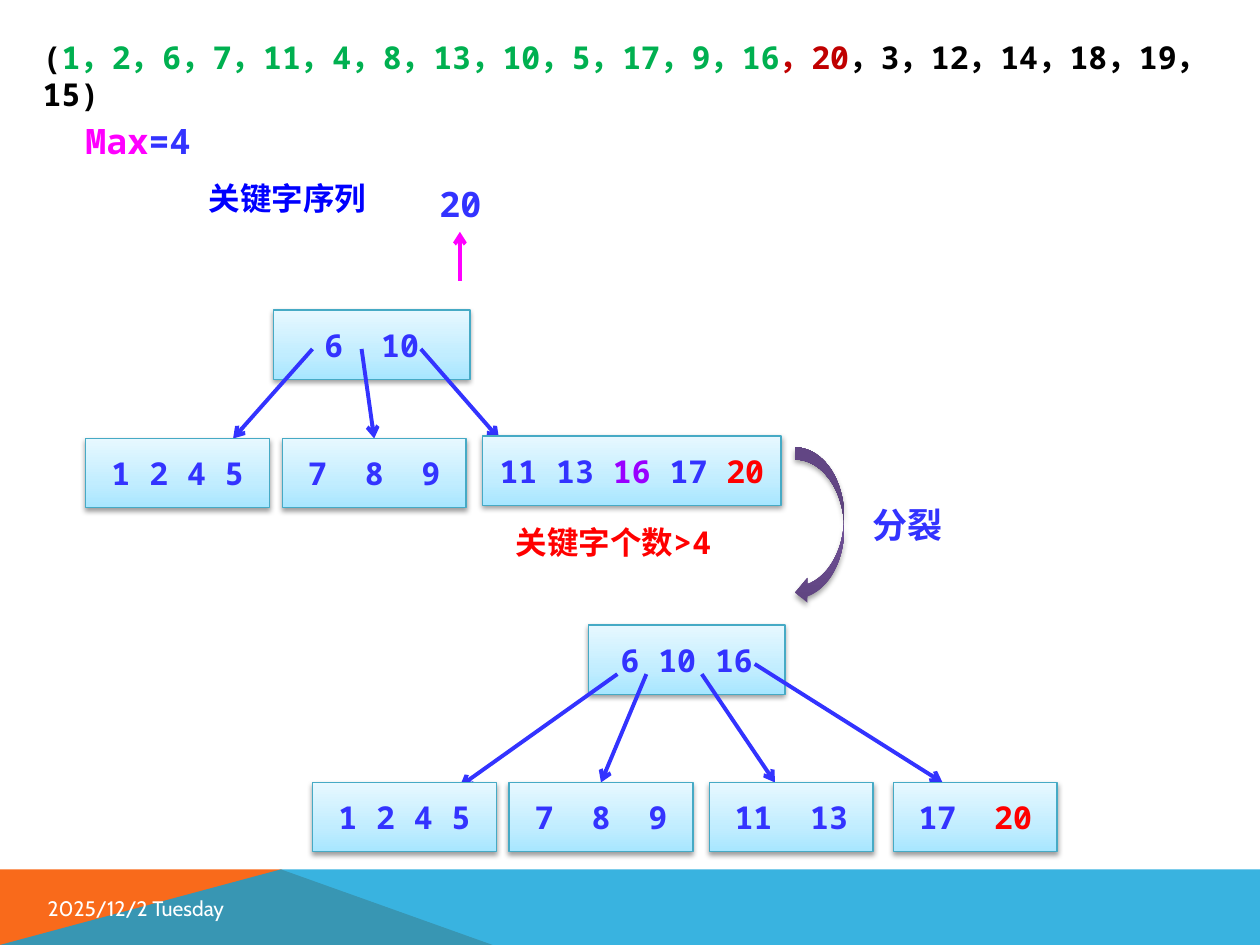
"""Build a slide on splitting a full B-tree node after inserting key 20."""
import copy
import pptx
import pptx.util
import pptx.dml.color
import pptx.enum.shapes
import pptx.enum.text
import pptx.oxml
import pptx.oxml.ns
import lxml.etree

Inches = pptx.util.Inches
Pt = pptx.util.Pt
qn = pptx.oxml.ns.qn
tint = pptx.dml.color.RGBColor.from_string
kinds = pptx.enum.shapes.MSO_SHAPE
LEFT = pptx.enum.text.PP_ALIGN.LEFT
MID = pptx.enum.text.PP_ALIGN.CENTER
BLUE, RED, PINK = "3333FF", "FF0000", "FF00FF"
MONO = "Noto Sans Mono"


def write(frame, runs, size=18, align=MID, face=MONO):
    frame.word_wrap = True
    para = frame.paragraphs[0]
    para.alignment = align
    for text, hue in runs:
        run = para.add_run()
        run.text = text
        run.font.name = face
        run.font.size = Pt(size)
        run.font.bold = face == MONO
        run.font.color.rgb = tint(hue)
        if text == " ":
            run.font.language_id = None
            run._r.get_or_add_rPr().set("spc", "1080")


def link(home, ends, hue):
    line = home.add_connector(
        pptx.enum.shapes.MSO_CONNECTOR.STRAIGHT, *[Inches(n) for n in ends])
    line.line.color.rgb = tint(hue)
    line.line.width = Pt(2.25)
    props = line.element.spPr
    tail = lxml.etree.SubElement(props.find(qn("a:ln")), qn("a:tailEnd"))
    tail.set("type", "arrow")
    lxml.etree.SubElement(props, qn("a:effectLst"))
    return line


deck = pptx.Presentation()
deck.slide_width, deck.slide_height = Inches(10), Inches(7.5)
slide = deck.slides.add_slide(deck.slide_layouts[6])
shapes = slide.shapes

bands = [
    ("F96A1B", 100, [(0, 7.5), (0, 6.9), (2.23, 6.9), (3.91, 7.5)]),
    ("08A1D9", 80, [(0, 7.5), (2.23, 6.9), (10, 6.9), (10, 7.5)]),
]
for hue, alpha, points in bands:
    spots = [(Inches(x), Inches(y)) for x, y in points]
    form = shapes.build_freeform(*spots[0], scale=1)
    form.add_line_segments(spots[1:], close=True)
    band = form.convert_to_shape()
    band.shadow.inherit = False
    band.line.fill.background()
    band.fill.solid()
    band.fill.fore_color.rgb = tint(hue)
    if alpha < 100:
        paint = band.element.spPr.find(qn("a:solidFill"))[0]
        lxml.etree.SubElement(paint, qn("a:alpha")).set("val", str(alpha * 1000))

date = shapes.add_textbox(Inches(0.28), Inches(7.06), Inches(1.68), Inches(0.29))
date.text_frame.vertical_anchor = pptx.enum.text.MSO_ANCHOR.MIDDLE
write(date.text_frame, [("2025/12/2 Tuesday", "FFFFFF")], 12, LEFT, "Cabin")

link(shapes, (3.65, 2.23, 3.65, 1.84), PINK)

few = [("1 2 4 5", BLUE)]
some = [("7", BLUE), (" ", BLUE), ("8", BLUE), (" ", BLUE), ("9", BLUE)]
trees = [
    (shapes,
     (2.17, 2.46, 1.56, [("6", BLUE), (" ", BLUE), ("10", BLUE)]),
     [(2.48, 2.77, 1.85, 3.48), (2.87, 2.77, 2.97, 3.48), (3.34, 2.77, 3.96, 3.48)],
     [(0.68, 3.48, 1.46, few), (2.24, 3.48, 1.46, some),
      (3.83, 3.46, 2.37, [("11 13 ", BLUE), ("16", "9900FF"), (" 17 ", BLUE), ("20", RED)])]),
    (shapes.add_group_shape().shapes,
     (4.67, 4.96, 1.56, [("6 10 16", BLUE)]),
     [(4.9, 5.35, 3.65, 6.24), (5.13, 5.35, 4.77, 6.24),
      (5.57, 5.35, 6.15, 6.21), (5.99, 5.27, 7.48, 6.21)],
     [(2.48, 6.21, 1.46, few), (4.04, 6.21, 1.46, some),
      (5.63, 6.21, 1.3, [("11", BLUE), (" ", BLUE), ("13", BLUE)]),
      (7.09, 6.21, 1.3, [("17", BLUE), (" ", BLUE), ("20", RED)])]),
]
pale = [(0, "A7E6FF"), (0.35, "C1EDFF"), (1, "E7F8FF")]
glows = []
for home, root, ends, leaves in trees:
    lines = []
    for x, y, wide, runs in [root] + leaves:
        box = home.add_shape(
            kinds.RECTANGLE, Inches(x), Inches(y), Inches(wide), Inches(0.55))
        box.line.color.rgb = tint("46AAC5")
        box.line.width = Pt(0.75)
        box.text_frame.vertical_anchor = pptx.enum.text.MSO_ANCHOR.MIDDLE
        write(box.text_frame, runs)
        glows.append((box, pale, 38, 1.6))
        if not lines:
            lines = [link(home, end, BLUE) for end in ends]
        for line, end in zip(lines, ends):
            if abs(end[2] - x - wide / 2) < 0.02 and abs(end[3] - y) < 0.05:
                line.end_connect(box, 0)

turn = shapes.add_shape(
    kinds.CURVED_LEFT_ARROW, Inches(6.31), Inches(3.55), Inches(0.39), Inches(1.25))
turn.line.fill.background()
glows.append((turn, [(0, "5F4480"), (0.8, "7B58A6"), (1, "7C57A8")], 35, 1.8))

for shape, stops, alpha, gap in glows:
    shape.fill.gradient()
    shape.fill.gradient_angle = 90
    props = shape.element.spPr
    ramp = props.find(qn("a:gradFill")).find(qn("a:gsLst"))
    ramp.append(copy.deepcopy(ramp[-1]))
    for stop, (place, hue) in zip(shape.fill.gradient_stops, stops):
        stop.position = place
        stop.color.rgb = tint(hue)
    shape.shadow.inherit = False
    shade = lxml.etree.SubElement(
        props.find(qn("a:effectLst")), qn("a:outerShdw"), blurRad=str(Pt(3.1)),
        dist=str(Pt(gap)), dir="5400000", rotWithShape="0")
    dark = lxml.etree.SubElement(shade, qn("a:srgbClr"), val="000000")
    lxml.etree.SubElement(dark, qn("a:alpha"), val=str(alpha * 1000))

notes = [
    (3.42, 1.45, 0.47, 0.34, 20, MID, 0, [("20", BLUE)]),
    (1.07, 1.37, 2.42, 0.4, 18, MID, 0.1, [("关键字序列", "0000FF")]),
    (3.7, 4.1, 2.34, 0.4, 18, MID, 0.1, [("关键字个数>4", RED)]),
    (0.58, 0.9, 1.48, 0.44, 20, LEFT, 0.1, [("Max", PINK), ("=4", BLUE)]),
    (6.83, 3.95, 0.86, 0.44, 20, LEFT, 0.1, [("分裂", BLUE)]),
    (0.24, 0.25, 9.65, 0.4, 18, LEFT, 0.1, [
        ("(", "000000"), ("1，2，6，7，11，4，8，13，10，5，17，9，16", "00B050"),
        ("，20", "C00000"), ("，3，12，14，18，19，15)", "000000")]),
]
for x, y, wide, high, size, align, pad, runs in notes:
    note = shapes.add_textbox(Inches(x), Inches(y), Inches(wide), Inches(high))
    frame = note.text_frame
    frame.auto_size = pptx.enum.text.MSO_AUTO_SIZE.SHAPE_TO_FIT_TEXT
    frame.margin_left = frame.margin_right = Inches(pad)
    frame.margin_top = frame.margin_bottom = Inches(pad / 2)
    write(frame, runs, size, align)

deck.save("out.pptx")
